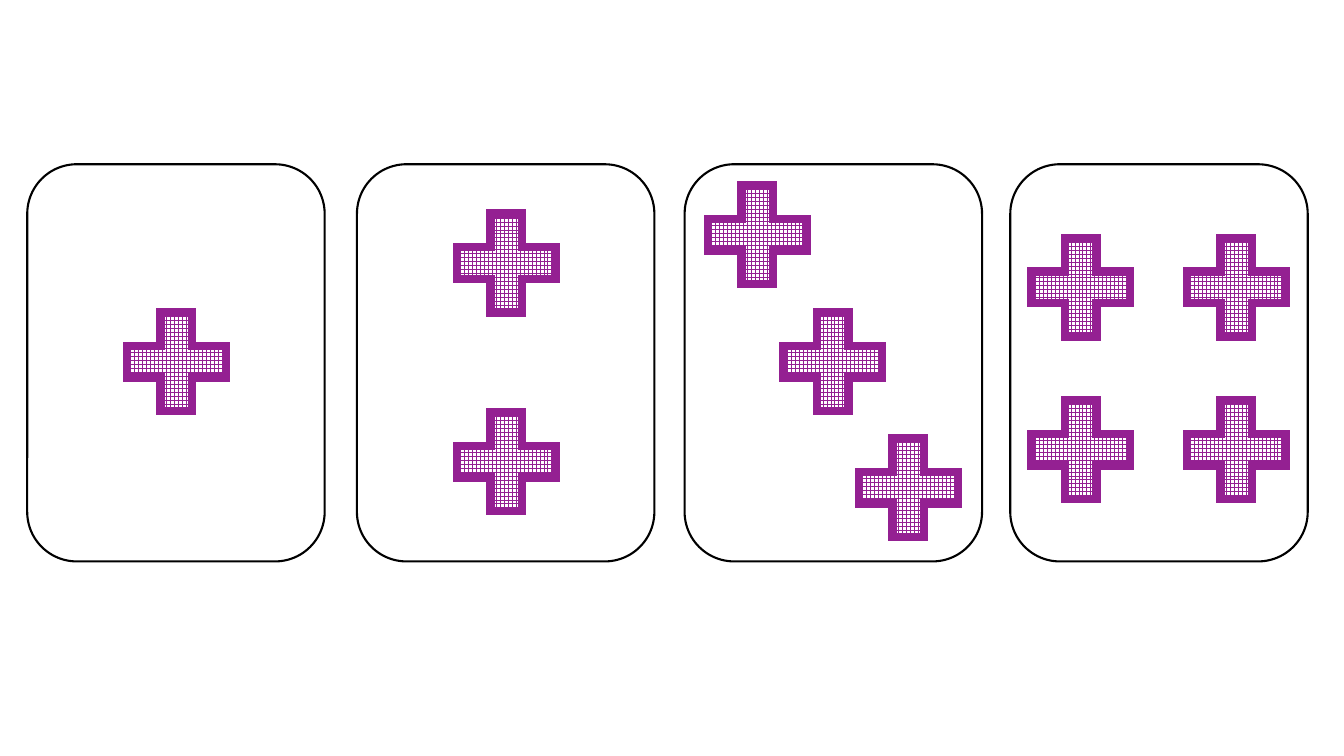
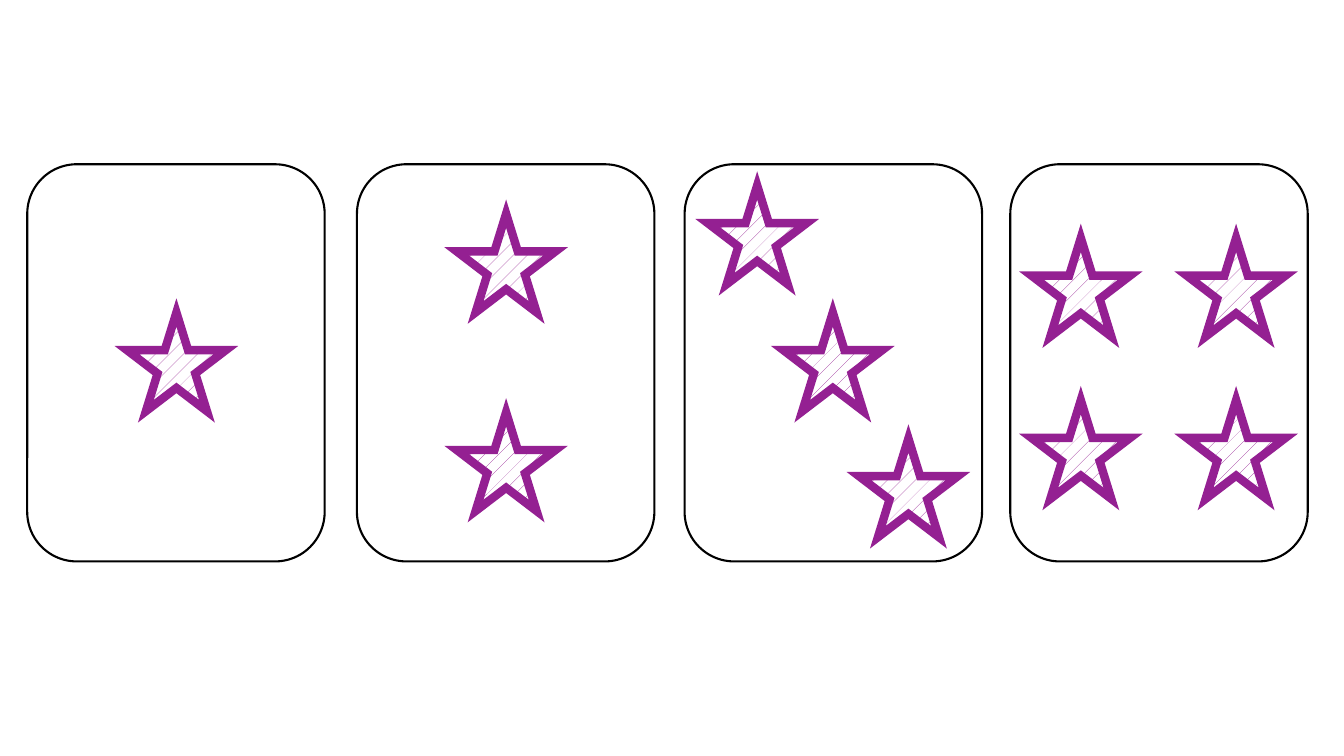
from lxml.etree import SubElement
from pptx import Presentation
from pptx.dml.color import RGBColor
from pptx.enum.dml import MSO_PATTERN
from pptx.enum.shapes import MSO_SHAPE
from pptx.oxml.ns import qn
from pptx.util import Pt

PX = 9144  # 100 px to the inch
SLIDE_WIDTH, SLIDE_HEIGHT = 1333, 750
CARD_TOP, CARD_WIDTH, CARD_HEIGHT = 163, 295, 394
SYMBOL_SIZE = 98
WHITE, BLACK, PURPLE = "FFFFFF", "000000", "942092"

# Left edge of each card, and the symbol positions measured from its corner
CARDS = [
    (27, [(99, 147)]),
    (354, [(99, 49), (99, 246)]),
    (679, [(23, 21), (98, 147), (173, 272)]),
    (1002, [(x, y) for y in (73, 234) for x in (21, 175)]),
]

# Symbol, its adjustments and its fill pattern, one suit per slide
SUITS = [
    (MSO_SHAPE.CROSS, [0.34], MSO_PATTERN.LARGE_GRID),
    (MSO_SHAPE.STAR_5_POINT, [], MSO_PATTERN.PERCENT_5),
]


def rgb(color):
    return RGBColor.from_string(color)


def add_outlined(slide, preset, box, color, weight):
    """Add a preset shape with a sharp-cornered outline and no shadow."""
    shape = slide.shapes.add_shape(preset, *(length * PX for length in box))
    shape.shadow.inherit = False
    shape.line.color.rgb = rgb(color)
    shape.line.width = Pt(weight)
    outline = shape.line._get_or_add_ln()
    SubElement(outline, qn("a:miter"), lim="800000")
    return shape


deck = Presentation()
deck.slide_width = SLIDE_WIDTH * PX
deck.slide_height = SLIDE_HEIGHT * PX

for preset, adjustments, pattern in SUITS:
    slide = deck.slides.add_slide(deck.slide_layouts[6])
    for card_left, spots in CARDS:
        card_box = (card_left, CARD_TOP, CARD_WIDTH, CARD_HEIGHT)
        card = add_outlined(slide, MSO_SHAPE.ROUNDED_RECTANGLE, card_box, BLACK, 1.5)
        card.fill.solid()
        card.fill.fore_color.rgb = rgb(WHITE)

        for x, y in spots:
            symbol_box = (card_left + x, CARD_TOP + y, SYMBOL_SIZE, SYMBOL_SIZE)
            symbol = add_outlined(slide, preset, symbol_box, PURPLE, 6)
            for index, value in enumerate(adjustments):
                symbol.adjustments[index] = value
            symbol.fill.patterned()
            symbol.fill.pattern = pattern
            symbol.fill.fore_color.rgb = rgb(PURPLE)
            symbol.fill.back_color.rgb = rgb(WHITE)

deck.save("out.pptx")
